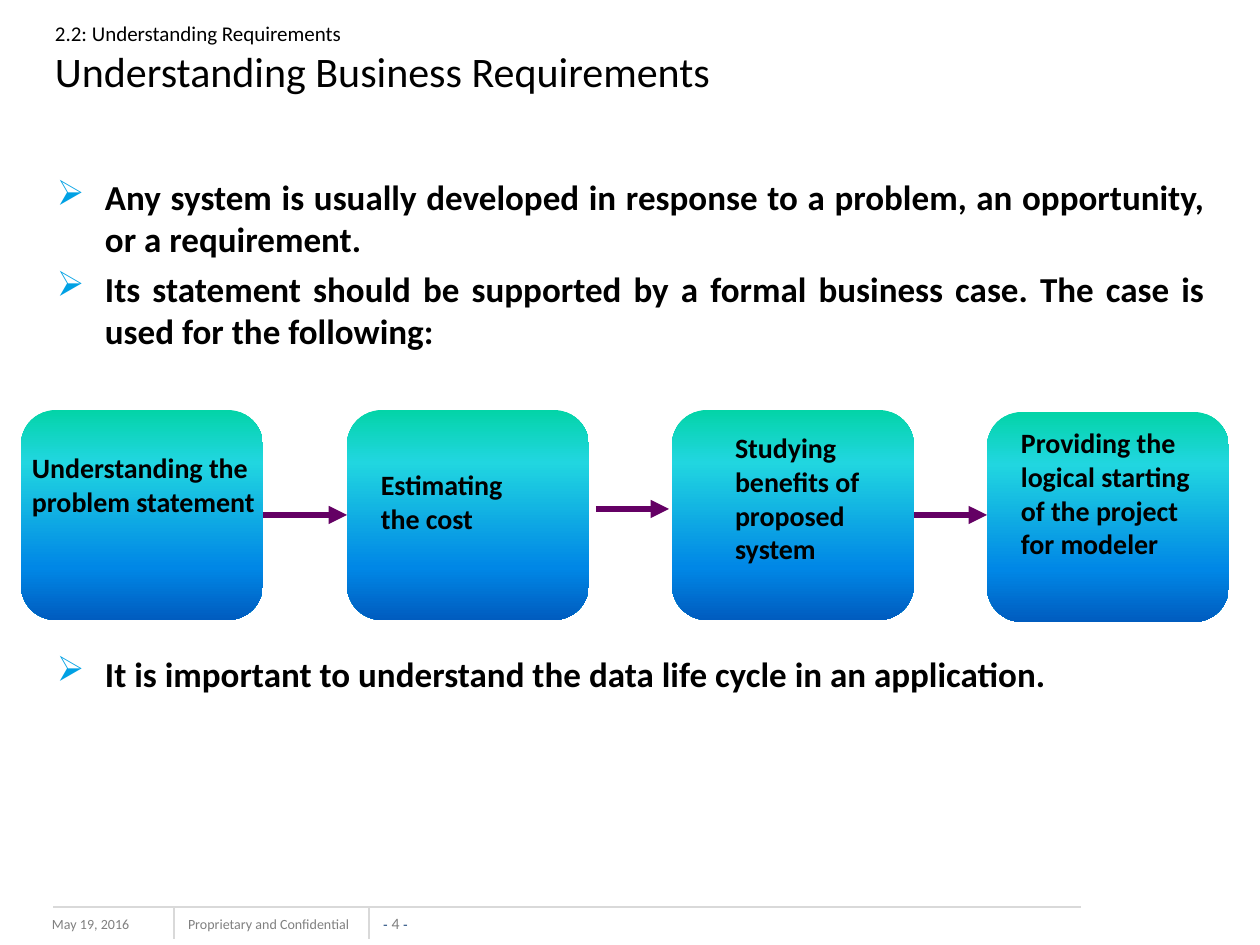
from lxml.etree import SubElement
from pptx import Presentation
from pptx.dml.color import RGBColor
from pptx.enum.shapes import MSO_CONNECTOR, MSO_SHAPE
from pptx.enum.text import MSO_ANCHOR, PP_ALIGN
from pptx.oxml.ns import qn
from pptx.util import Emu, Pt

SCALE = 914400 / 126
BLACK = RGBColor(0x00, 0x00, 0x00)
GRAY = RGBColor(0x80, 0x80, 0x80)
NAVY = RGBColor(0x1F, 0x49, 0x7D)
RULE = RGBColor(0xD9, 0xD9, 0xD9)
PURPLE = RGBColor(0x64, 0x00, 0x64)
CYAN = RGBColor(0x00, 0xA1, 0xE4)
STOPS = [
    (0, RGBColor(0x03, 0xD4, 0xA8)),
    (25, RGBColor(0x21, 0xD6, 0xE0)),
    (75, RGBColor(0x00, 0x87, 0xE6)),
    (100, RGBColor(0x00, 0x5C, 0xBF)),
]
INSETS = (13, 6, 13, 6)

POINTS = [
    ("Any system is usually developed in response to a problem, "
     "an opportunity, or a requirement.", 4),
    ("Its statement should be supported by a formal business case. "
     "The case is used for the following:", 4),
    ("It is important to understand the data life cycle in an application.", 172),
]
STEPS = [(21, 410), (347, 410), (672, 410), (987, 412)]
LABELS = [
    ("Understanding the problem statement", (0, 451, 262, 164), (32, 0, 0, 0)),
    ("Estimating the cost", (368, 462, 189, 81), INSETS),
    ("Studying benefits of proposed system", (672, 431, 210, 164), (63, 0, 0, 6)),
    ("Providing the logical starting of the project for modeler",
     (1008, 420, 199, 183), INSETS),
]


def px(n):
    return Emu(round(n * SCALE))


def add_box(slide, area, insets=INSETS, wrap=True, anchor=MSO_ANCHOR.TOP):
    """Add an empty text box and return its text frame."""
    frame = slide.shapes.add_textbox(*map(px, area)).text_frame
    frame.word_wrap = wrap
    frame.vertical_anchor = anchor
    (frame.margin_left, frame.margin_top,
     frame.margin_right, frame.margin_bottom) = map(px, insets)
    return frame


def add_run(para, text, size, color=BLACK, bold=False, face="Calibri"):
    run = para.add_run()
    run.text = text
    font = run.font
    font.name, font.size, font.bold = face, Pt(size), bold
    font.color.rgb = color


def add_bullet(para):
    props = para._p.get_or_add_pPr()
    props.set("marL", str(px(48)))
    props.set("indent", str(px(-48)))
    tint = SubElement(props, qn("a:buClr"))
    SubElement(tint, qn("a:srgbClr"), val=str(CYAN))
    SubElement(props, qn("a:buChar"), char="➢")


def add_points(slide):
    frame = add_box(slide, (44, 170, 1174, 602))
    for i, (text, gap) in enumerate(POINTS):
        para = frame.add_paragraph() if i else frame.paragraphs[0]
        para.alignment = PP_ALIGN.JUSTIFY
        para.space_before = Pt(gap)
        add_bullet(para)
        add_run(para, text, 20, bold=True)


def add_title(slide):
    frame = add_box(slide, (42, 3, 1134, 110), anchor=MSO_ANCHOR.MIDDLE)
    para = frame.paragraphs[0]
    add_run(para, "2.2: Understanding Requirements", 12)
    para.add_line_break()
    add_run(para, "Understanding Business Requirements", 24)


def add_step(slide, left, top):
    """Add a rounded box with the four-stop vertical gradient."""
    step = slide.shapes.add_shape(
        MSO_SHAPE.ROUNDED_RECTANGLE, px(left), px(top), px(242), px(210))
    step.shadow.inherit = False
    step.line.fill.background()
    step.fill.gradient()
    step.fill.gradient_angle = 270
    stops = step._element.spPr.find(qn("a:gradFill")).find(qn("a:gsLst"))
    for old in list(stops):
        stops.remove(old)
    for pos, color in STOPS:
        stop = SubElement(stops, qn("a:gs"), pos=str(pos * 1000))
        SubElement(stop, qn("a:srgbClr"), val=str(color))
    return step


def add_line(slide, start, end, color, width):
    line = slide.shapes.add_connector(
        MSO_CONNECTOR.STRAIGHT, *map(px, start + end))
    line.line.color.rgb = color
    line.line.width = Pt(width)
    SubElement(line._element.spPr, qn("a:effectLst"))
    return line


def add_arrow(slide, start, end):
    arrow = add_line(slide, start, end, PURPLE, 3.5)
    SubElement(arrow.line._get_or_add_ln(), qn("a:tailEnd"), type="triangle")
    return arrow


def add_flow(slide):
    steps = [add_step(slide, *spot) for spot in STEPS]
    for text, area, insets in LABELS:
        frame = add_box(slide, area, insets)
        add_run(frame.paragraphs[0], text, 16, bold=True)
    first = add_arrow(slide, (263, 515), (347, 515))
    first.begin_connect(steps[0], 3)
    first.end_connect(steps[1], 1)
    add_arrow(slide, (596, 509), (669, 509))
    last = add_arrow(slide, (914, 515), (987, 515))
    last.begin_connect(steps[2], 3)


def add_footer(slide):
    date = add_box(slide, (39, 910, 168, 31))
    add_run(date.paragraphs[0], "May 19, 2016", 8, GRAY)
    note = add_box(slide, (175, 910, 198, 30), wrap=False)
    add_run(note.paragraphs[0], "Proprietary and Confidential", 8, GRAY)
    page = add_box(slide, (379, 914, 33, 19), (0, 0, 0, 0), False,
                   MSO_ANCHOR.BOTTOM).paragraphs[0]
    page.alignment = PP_ALIGN.CENTER
    add_run(page, "- ", 8, NAVY, face="Arial")
    add_run(page, "4 ", 9, GRAY)
    add_run(page, "-", 8, NAVY, face="Arial")
    add_line(slide, (1081, 907), (53, 907), RULE, 0.75)
    for x in (174, 369):
        add_line(slide, (x, 907), (x, 939), RULE, 0.75)


def main():
    deck = Presentation()
    deck.slide_width, deck.slide_height = px(1260), px(945)
    slide = deck.slides.add_slide(deck.slide_layouts[6])
    add_footer(slide)
    add_points(slide)
    add_title(slide)
    add_flow(slide)
    deck.save("out.pptx")


if __name__ == "__main__":
    main()
